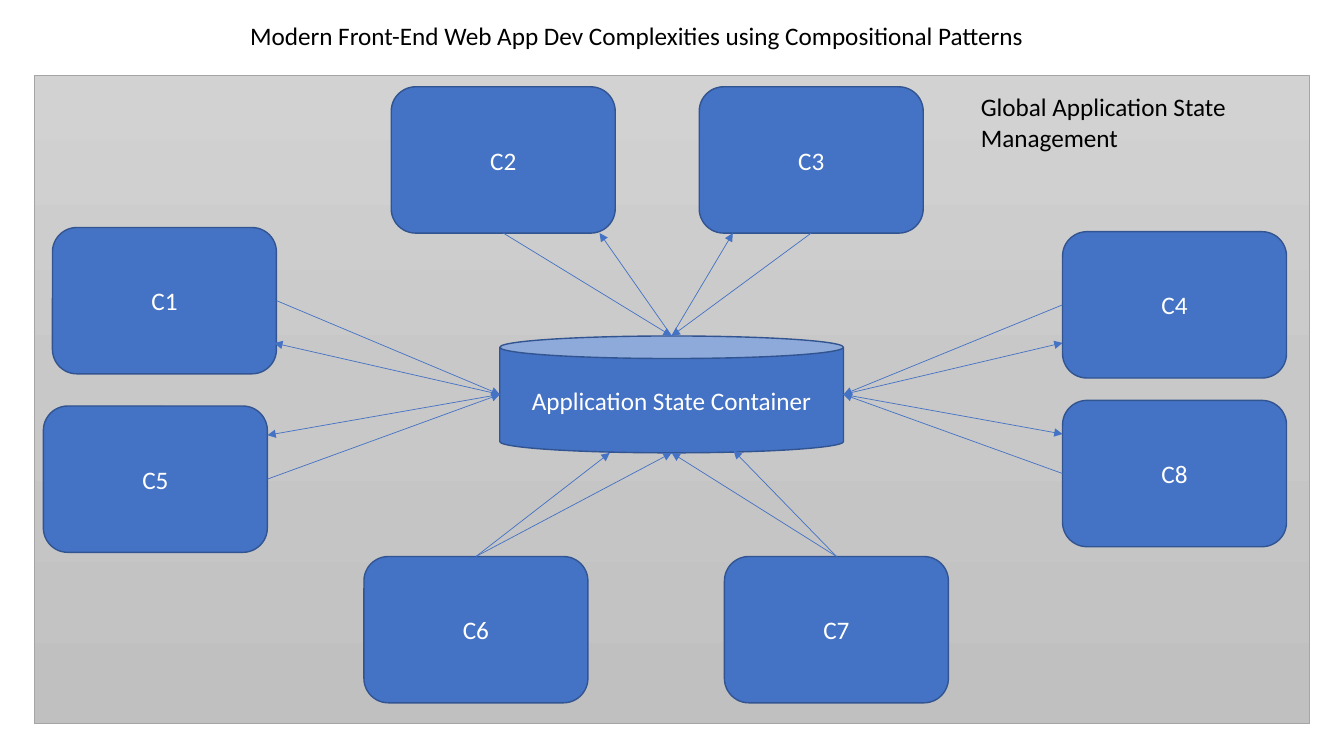
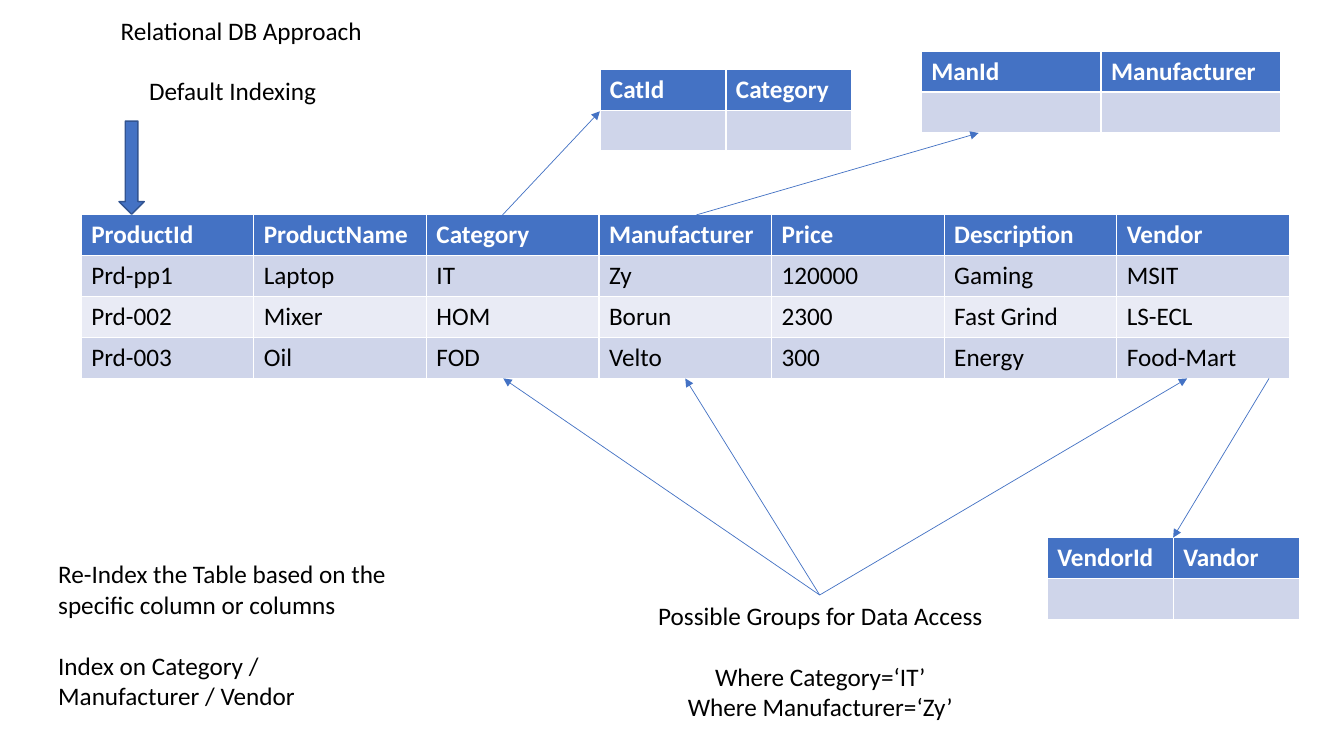
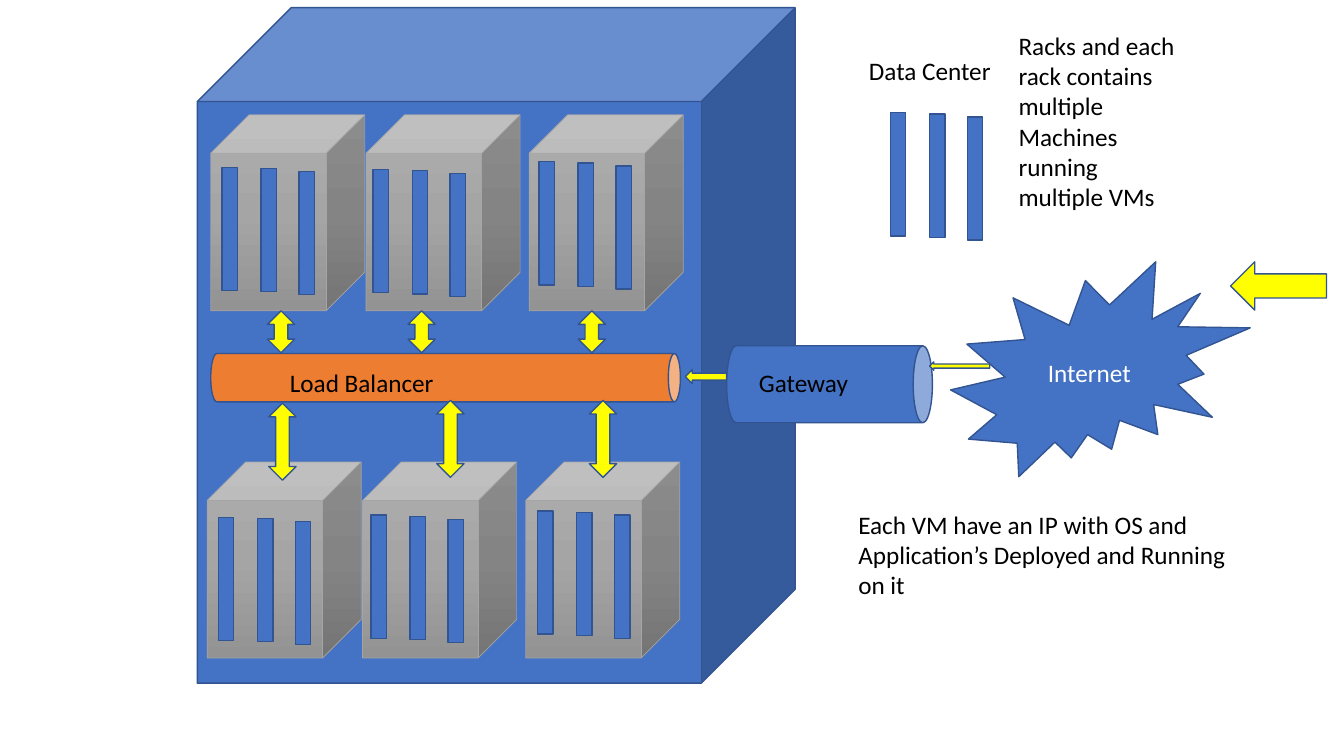
from copy import deepcopy
from itertools import product

from lxml import etree
from pptx import Presentation
from pptx.dml.color import RGBColor
from pptx.enum import shapes as es, text as et
from pptx.oxml.ns import qn
from pptx.util import Pt

HUE = {
    "blue": "4472C4", "edge": "325491", "gray": "A5A5A5",
    "gold": "FFFF00", "rust": "ED7D31",
    "white": "FFFFFF", "black": "000000",
    "odd": "CFD5EA", "even": "E9EBF5",
}
PANEL = ("D2D2D2", "C8C8C8", "C0C0C0")
METAL = ("AFAFAF", "A5A5A5", "939393")
FONT, SIZE, LEAD = "Calibri", 18, 22
KIND = es.MSO_SHAPE
LEFT, MID = et.PP_ALIGN.LEFT, et.PP_ALIGN.CENTER


def rgb(name):
    return RGBColor.from_string(HUE.get(name, name))


def shift(box, x, y, w, h):
    return box[0] + x, box[1] + y, w, h


def spot(box, fx, fy):
    x, y, w, h = box
    return x + fx * w, y + fy * h


def style(para, hue="black", align=LEFT, bold=False):
    para.alignment = align
    font = para.font
    font.name, font.size, font.bold = FONT, Pt(SIZE), bold
    font.color.rgb = rgb(hue)


def write(frame, lines, align=LEFT, hue="black", gap=None):
    frame.word_wrap = True
    for i, line in enumerate(lines):
        para = frame.paragraphs[0] if i == 0 else frame.add_paragraph()
        para.text = line
        style(para, hue, align)
        if i == gap:
            para.space_before = Pt(LEAD)


def note(slide, box, *lines, **look):
    frame = slide.shapes.add_textbox(*map(Pt, box)).text_frame
    write(frame, lines, **look)


def head(slide, box, line, align=LEFT):
    title = slide.shapes.title
    title.left, title.top, title.width, title.height = map(Pt, box)
    frame = title.text_frame
    frame.auto_size = et.MSO_AUTO_SIZE.NONE
    frame.vertical_anchor = et.MSO_ANCHOR.TOP
    write(frame, [line], align)


def shade(shape, stops):
    fill = shape.fill
    fill.gradient()
    fill.gradient_angle = 270
    group = shape._element.spPr.find(".//" + qn("a:gsLst"))
    group.insert(1, deepcopy(group[0]))
    for i, (stop, hue) in enumerate(zip(fill.gradient_stops, stops)):
        stop.position = i / 2
        stop.color.rgb = rgb(hue)


def block(slide, kind, box, fill="blue", label=None, adj=None, turn=0):
    shape = slide.shapes.add_shape(kind, *map(Pt, box))
    shape.shadow.inherit = False
    shape.rotation = turn
    if adj is not None:
        shape.adjustments[0] = adj
    if isinstance(fill, tuple):
        shade(shape, fill)
        edge, width = "gray", 0.5
    else:
        shape.fill.solid()
        shape.fill.fore_color.rgb = rgb(fill)
        edge, width = "edge", 1
    shape.line.color.rgb = rgb(edge)
    shape.line.width = Pt(width)
    if label:
        shape.text_frame.vertical_anchor = et.MSO_ANCHOR.MIDDLE
        write(shape.text_frame, [label], MID, "white")
    return shape


def arrow(slide, start, end):
    link = slide.shapes.add_connector(
        es.MSO_CONNECTOR.STRAIGHT, *map(Pt, (*start, *end)))
    link.line.color.rgb = rgb("blue")
    link.line.width = Pt(0.5)
    props = link._element.spPr
    etree.SubElement(props.find(qn("a:ln")), qn("a:tailEnd"), type="triangle")
    etree.SubElement(props, qn("a:effectLst"))


def grid(slide, x, y, width, rows, height=29.2):
    count = len(rows[0])
    table = slide.shapes.add_table(
        len(rows), count,
        *map(Pt, (x, y, width, height * len(rows)))).table
    for col in table.columns:
        col.width = Pt(width / count)
    for i, row in enumerate(rows):
        table.rows[i].height = Pt(height)
        fill = "blue" if i == 0 else "odd" if i % 2 else "even"
        for j, word in enumerate(row):
            cell = table.cell(i, j)
            cell.fill.solid()
            cell.fill.fore_color.rgb = rgb(fill)
            cell.text = word
            style(cell.text_frame.paragraphs[0],
                  "black" if i else "white", bold=i == 0)


def state(slide, box):
    block(slide, KIND.RECTANGLE, box, PANEL)
    hub = shift(box, 332.5, 186, 245.5, 83.5)
    west, east, north, south = (0, .5), (1, .5), (.5, 0), (.5, 1)
    nodes = [
        ("C1", 13, 108.5, east, west, (.99, .79)),
        ("C2", 255, 8, south, north, (.93, 1)),
        ("C3", 475, 8, south, north, (.15, 1)),
        ("C4", 734.5, 111.5, west, east, (0, .76)),
        ("C5", 6.5, 236, east, west, (1, .2)),
        ("C6", 235.5, 343.5, north, south, None),
        ("C7", 493, 343.5, north, south, None),
        ("C8", 734.5, 232, west, east, (0, .23)),
    ]
    extra = {"C6": (.32, 1), "C7": (.68, .98)}
    block(slide, KIND.CAN, hub, label="Application State Container", adj=.193)
    for name, x, y, out, port, back in nodes:
        node = shift(box, x, y, 160, 104.5)
        block(slide, KIND.ROUNDED_RECTANGLE, node, label=name)
        start, end = spot(node, *out), spot(hub, *port)
        arrow(slide, start, end)
        if back:
            arrow(slide, end, spot(node, *back))
        else:
            arrow(slide, start, spot(hub, *extra[name]))
    note(slide, shift(box, 669, 8, 236, 51),
         "Global Application State Management")


def tables(slide, box):
    x, y, width, height = box
    grid(slide, x, y, width, [
        ("ProductId", "ProductName", "Category", "Manufacturer", "Price",
         "Description", "Vendor"),
        ("Prd-pp1", "Laptop", "IT", "Zy", "120000", "Gaming", "MSIT"),
        ("Prd-002", "Mixer", "HOM", "Borun", "2300", "Fast Grind", "LS-ECL"),
        ("Prd-003", "Oil", "FOD", "Velto", "300", "Energy", "Food-Mart"),
    ])
    sides = [
        (370.5, -104, 180, ("CatId", "Category"), (301, 0), (370.5, -74)),
        (600, -117, 257, ("ManId", "Manufacturer"), (439.5, 0), (641, -58.5)),
        (690, 230.5, 180, ("VendorId", "Vandor"), (848.5, height),
         (780, 230.5)),
    ]
    for dx, dy, w, names, start, end in sides:
        grid(slide, x + dx, y + dy, w, [names, ("", "")])
        arrow(slide, (x + start[0], y + start[1]), (x + end[0], y + end[1]))
    for dx in (301.5, 431.5, 790):
        arrow(slide, (x + 527.5, y + 271.5), (x + dx, y + height))
    block(slide, KIND.DOWN_ARROW, shift(box, 27, -67, 18, 66.5))


def notes(slide, box):
    note(slide, shift(box, 65, 0, 343.5, 29), "Default Indexing")
    note(slide, shift(box, 332.5, 374.5, 438, 94),
         "Possible Groups for Data Access",
         "Where Category=‘IT’", "Where Manufacturer=‘Zy’", align=MID, gap=1)
    note(slide, shift(box, 0, 345, 268.5, 117),
         "Re-Index the Table based on the specific column or columns",
         "Index on Category / Manufacturer / Vendor", gap=1)


def bars(slide, x, y):
    for dx, dy in ((0, 0), (28, 1), (55, 3)):
        block(slide, KIND.RECTANGLE, (x + dx, y + dy, 11, 88))


def rack(slide, box, dx, dy):
    block(slide, KIND.CUBE, box, METAL)
    bars(slide, box[0] + dx, box[1] + dy)


def center(slide, box):
    block(slide, KIND.CUBE, box, adj=.157)
    insets = [(8, 37.5), (5, 39), (7, 33.5), (8, 39.5), (6, 38), (8.5, 35)]
    places = product(((9.5, 76.5), (7, 324.5)), (0, 111, 227.5))
    for ((x, y), step), inset in zip(places, insets):
        rack(slide, shift(box, x + step, y, 110, 140), *inset)
    block(slide, KIND.CAN, shift(box, 160, 96.5, 34.5, 335.5), "rust", turn=90)
    note(slide, shift(box, 59, 253, 222, 29), "Load Balancer")
    flows = [(50, 216.5, 30), (150.5, 216.5, 30), (272, 216.5, 30),
             (51, 282.5, 55), (171, 280.5, 55), (280, 280.5, 55)]
    for x, y, h in flows:
        block(slide, KIND.UP_DOWN_ARROW, shift(box, x, y, 19.5, h), "gold")


def net(slide, box):
    block(slide, KIND.EXPLOSION2, shift(box, 189.5, 0, 214, 153.5),
          label="Internet")
    block(slide, KIND.CAN, shift(box, 75.5, 14, 55, 147), turn=90)
    note(slide, shift(box, 45.5, 71.5, 101, 29), "Gateway")
    for part in ((389.5, 0, 68.5, 34.5), (174.5, 71.5, 43, 6),
                 (0, 77, 29.5, 10)):
        block(slide, KIND.LEFT_ARROW, shift(box, *part), "gold")


def legend(slide, box):
    bars(slide, box[0] + 30, box[1] + 62.5)
    note(slide, shift(box, 114.5, 0, 133, 138),
         "Racks and each rack contains multiple Machines running multiple VMs")
    note(slide, shift(box, 0, 342, 292, 73),
         "Each VM have an IP with OS and Application’s Deployed and "
         "Running on it")


def main():
    deck = Presentation()
    deck.slide_width, deck.slide_height = Pt(960), Pt(540)
    pages = [
        ("Modern Front-End Web App Dev Complexities using Compositional "
         "Patterns", (148.5, 11, 612.5, 29), MID,
         [(state, (24.5, 54, 911, 463))]),
        ("Relational DB Approach", (79, 7, 294.5, 29), LEFT,
         [(tables, (58, 153.5, 863, 116.8)),
          (notes, (34.5, 50.5, 770.5, 468.5))]),
        ("Data Center", (613.5, 36, 307.5, 29), LEFT,
         [(center, (141, 5.5, 427, 482.5)),
          (net, (489.5, 187, 458, 161)),
          (legend, (606, 18, 292, 415))]),
    ]
    for title, place, align, parts in pages:
        slide = deck.slides.add_slide(deck.slide_layouts[5])
        head(slide, place, title, align)
        for draw, box in parts:
            draw(slide, box)
    deck.save("out.pptx")


if __name__ == "__main__":
    main()
